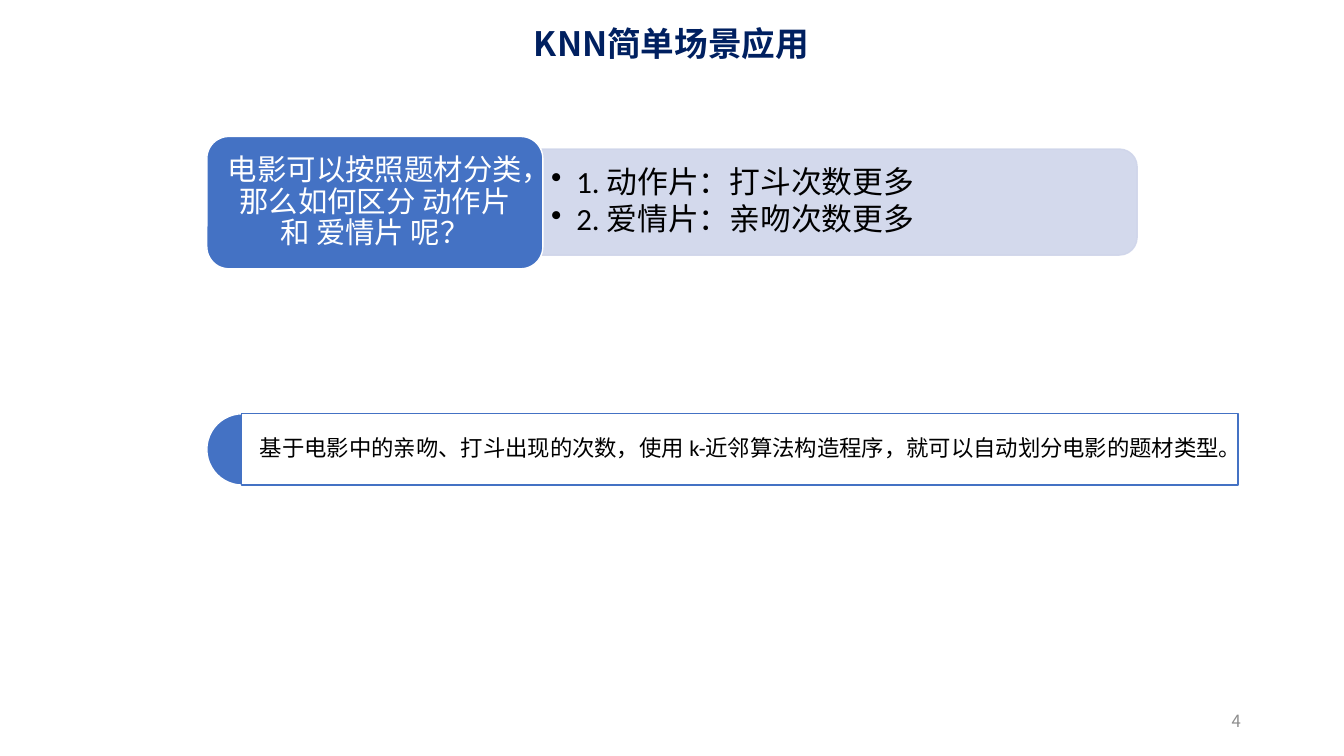
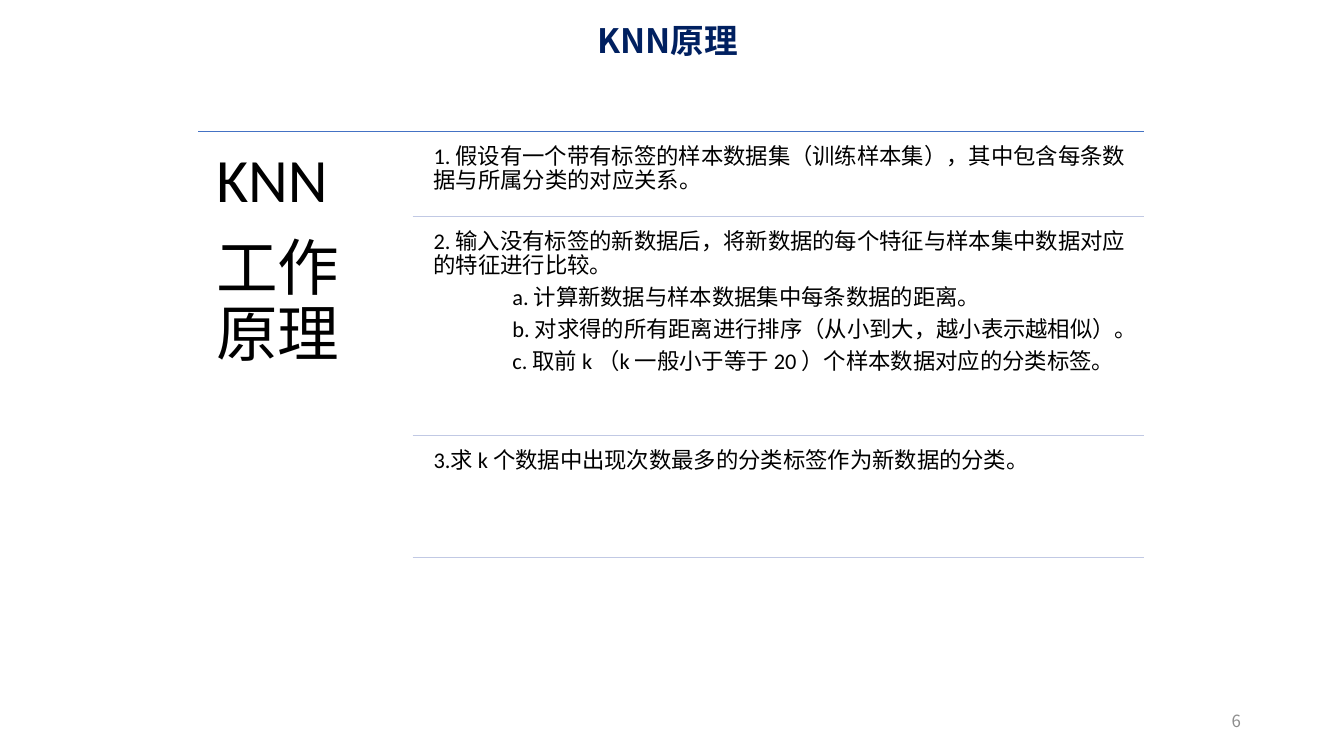
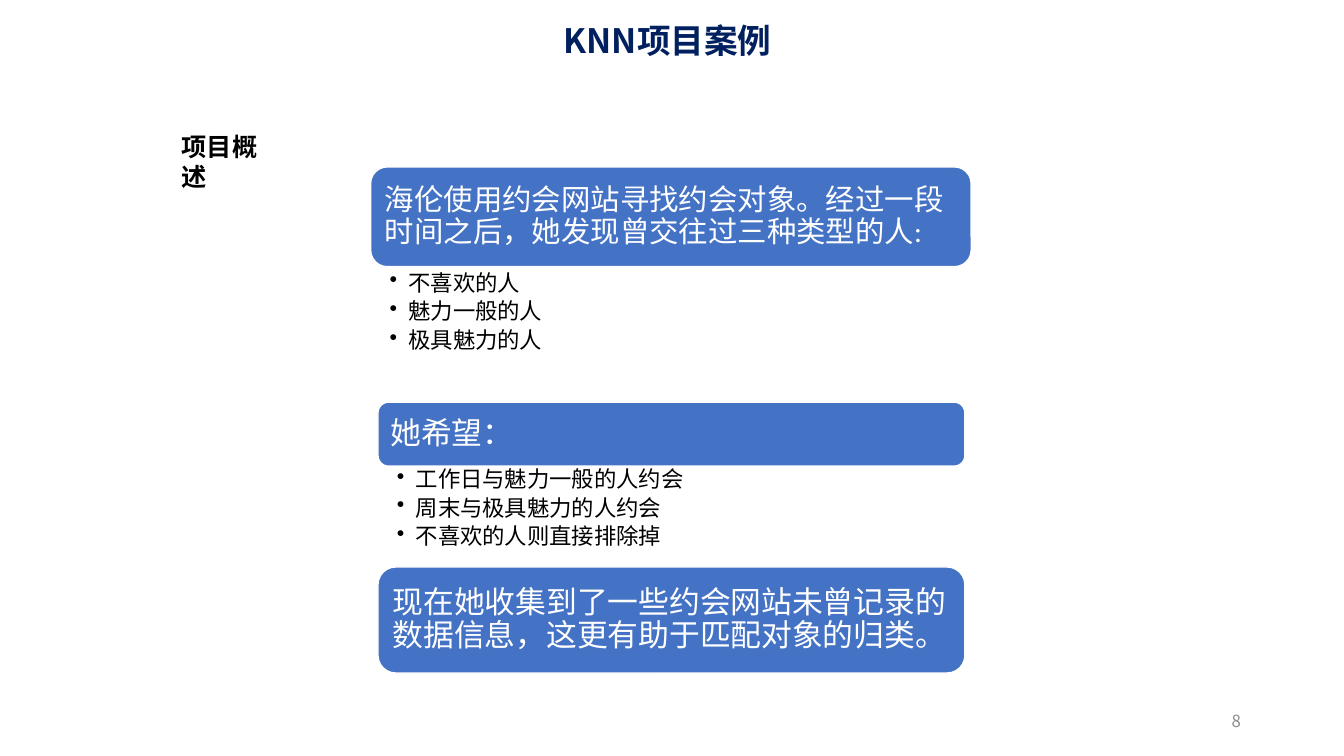
"""Build three slides on k-nearest neighbours: use, principle and project case."""
from dataclasses import dataclass
from itertools import pairwise

from pptx import Presentation
from pptx import util as u
from pptx.dml.color import RGBColor
from pptx.enum import shapes, text
from pptx.oxml.ns import qn

PX = 9525
KIND = shapes.MSO_SHAPE
ALIGN = text.PP_ALIGN
ANCHOR = text.MSO_ANCHOR


@dataclass(frozen=True)
class Theme:
    navy: str = "002060"
    blue: str = "4472C4"
    pale: str = "CFD5EA"
    rule: str = "C1C9E4"
    grey: str = "8C8C8C"
    black: str = "000000"
    white: str = "FFFFFF"
    body_font: str = "Calibri"
    head_font: str = "Noto Sans CJK SC"
    title: int = 24
    hero: int = 44
    large: int = 22
    medium: int = 21
    heading: int = 18
    body: int = 16
    page: int = 12


T = Theme()


def write(s, lines, size, color=T.black, font=T.body_font, bold=False, align=ALIGN.LEFT,
          anchor=ANCHOR.TOP, ins=(10, 5, 10, 5), spacing=0.9, after=0.35, bullet=0, indents=()):
    tf = s.text_frame
    tf.word_wrap = True
    tf.vertical_anchor = anchor
    tf.margin_left, tf.margin_top, tf.margin_right, tf.margin_bottom = [v * PX for v in ins]
    for i, line in enumerate(lines):
        p = tf.paragraphs[0] if i == 0 else tf.add_paragraph()
        p.alignment = align
        p.line_spacing = spacing
        p.space_after = u.Pt(round(size * after, 1))
        pPr = p._p.get_or_add_pPr()
        if bullet:
            p.level = 1
            pPr.set("marL", str(bullet * PX))
            pPr.set("indent", str(-bullet * PX))
            pPr.makeelement(qn("a:buChar"))
            mark = pPr.makeelement(qn("a:buChar"), {"char": "•"})
            pPr.append(mark)
        elif indents:
            pPr.set("marL", str(indents[i] * PX))
        r = p.add_run()
        r.text = line
        r.font.name = font
        r.font.size = u.Pt(size)
        r.font.bold = bold
        r.font.color.rgb = RGBColor.from_string(color)
    return tf


def add_box(slide, kind, rect, fill=T.blue, line=T.white):
    s = slide.shapes.add_shape(kind, *[v * PX for v in rect])
    s.shadow.inherit = False
    s.fill.solid()
    s.fill.fore_color.rgb = RGBColor.from_string(fill)
    s.line.color.rgb = RGBColor.from_string(line)
    s.line.width = u.Pt(1)
    return s


prs = Presentation()
prs.slide_width, prs.slide_height = 1280 * PX, 720 * PX

slides = []
for title, top, page in [("KNN简单场景应用", 22, "4"), ("KNN原理 ", 19, "6"), ("KNN项目案例 ", 19, "8")]:
    slide = prs.slides.add_slide(prs.slide_layouts[6])
    tb = slide.shapes.add_textbox(451 * PX, top * PX, 377 * PX, 38 * PX)
    write(tb, [title], T.title, T.navy, T.head_font, True, ALIGN.CENTER,
          ins=(0, 0, 0, 0), spacing=1.0, after=0)
    tb = slide.shapes.add_textbox(904 * PX, 667 * PX, 288 * PX, 38 * PX)
    write(tb, [page], T.page, T.grey, T.head_font, align=ALIGN.RIGHT,
          anchor=ANCHOR.MIDDLE, spacing=1.0, after=0)
    slides.append(slide)
scene, principle, case = slides

panel = add_box(scene, KIND.ROUND_2_SAME_RECTANGLE, (749, -91, 101, 567), T.pale, T.pale)
panel.rotation = 90
tb = scene.shapes.add_textbox(516 * PX, 147 * PX, 563 * PX, 91 * PX)
write(tb, ["1. 动作片：打斗次数更多", "2. 爱情片：亲吻次数更多"], T.large,
      anchor=ANCHOR.MIDDLE, ins=(9, 5, 9, 5), after=0.15, bullet=24)
question = add_box(scene, KIND.ROUNDED_RECTANGLE, (197, 130, 320, 126))
write(question, ["电影可以按照题材分类，那么如何区分 动作片 和 爱情片 呢？"], T.medium, T.white,
      align=ALIGN.CENTER, anchor=ANCHOR.MIDDLE, ins=(9, 4, 9, 4))
pie = add_box(scene, KIND.PIE, (197, 394, 68, 68))
pie.adjustments[0], pie.adjustments[1] = 54, 162
answer = add_box(scene, KIND.RECTANGLE, (230, 394, 949, 68), T.white, T.blue)
write(answer, ["基于电影中的亲吻、打斗出现的次数，使用 k-近邻算法构造程序，就可以自动划分电影的题材类型。"],
      T.body, align=ALIGN.CENTER, anchor=ANCHOR.MIDDLE, ins=(7, 7, 7, 7))
tints = panel._element.spPr.xpath(".//a:srgbClr") + answer._element.spPr.xpath("./a:solidFill/a:srgbClr")
for tint in tints:
    tint.append(tint.makeelement(qn("a:alpha"), {"val": "90000"}))

rules = [125, 206, 415, 531]
for i, y in enumerate(rules):
    left, color, width = (393, T.rule, 1) if i else (189, T.blue, 0.5)
    c = principle.shapes.add_connector(shapes.MSO_CONNECTOR.STRAIGHT, left * PX, y * PX, 1090 * PX, y * PX)
    c.line.color.rgb = RGBColor.from_string(color)
    c.line.width = u.Pt(width)
    spPr = c._element.spPr
    spPr.append(spPr.makeelement(qn("a:effectLst")))
tb = principle.shapes.add_textbox(189 * PX, 125 * PX, 204 * PX, 412 * PX)
write(tb, ["KNN", "工作原理"], T.hero, ins=(17, 17, 17, 17))
steps = [
    ["1. 假设有一个带有标签的样本数据集（训练样本集），其中包含每条数据与所属分类的对应关系。"],
    ["2. 输入没有标签的新数据后，将新数据的每个特征与样本集中数据对应的特征进行比较。",
     "a. 计算新数据与样本数据集中每条数据的距离。",
     "b. 对求得的所有距离进行排序（从小到大，越小表示越相似）。",
     "c. 取前 k （k 一般小于等于 20 ）个样本数据对应的分类标签。"],
    ["3.求 k 个数据中出现次数最多的分类标签作为新数据的分类。"],
]
for (top, bottom), lines in zip(pairwise(rules), steps):
    tb = principle.shapes.add_textbox(406 * PX, (top + 6) * PX, 684 * PX, (bottom - top - 6) * PX)
    write(tb, lines, T.body, ins=(7, 7, 7, 7), indents=(0, 75, 75, 75))

tb = case.shapes.add_textbox(163 * PX, 120 * PX, 116 * PX, 38 * PX)
write(tb, ["项目概述"], T.heading, bold=True, spacing=1.0, after=0).word_wrap = False
cards = [
    ((353, 159, 572, 95), T.medium, "海伦使用约会网站寻找约会对象。经过一段时间之后，她发现曾交往过三种类型的人:",
     257, ["不喜欢的人", "魅力一般的人", "极具魅力的人"]),
    ((360, 383, 559, 61), T.large, "她希望：",
     444, ["工作日与魅力一般的人约会", "周末与极具魅力的人约会", "不喜欢的人则直接排除掉"]),
    ((360, 540, 559, 101), T.large, "现在她收集到了一些约会网站未曾记录的数据信息，这更有助于匹配对象的归类。", 0, []),
]
for rect, size, line, top, items in cards:
    card = add_box(case, KIND.ROUNDED_RECTANGLE, rect)
    write(card, [line], size, T.white, anchor=ANCHOR.MIDDLE, ins=(9, 9, 9, 9))
    if items:
        tb = case.shapes.add_textbox(rect[0] * PX, top * PX, rect[2] * PX, 96 * PX)
        write(tb, items, T.body, ins=(18, 2, 12, 2), after=0.2, bullet=18)

prs.save("out.pptx")
